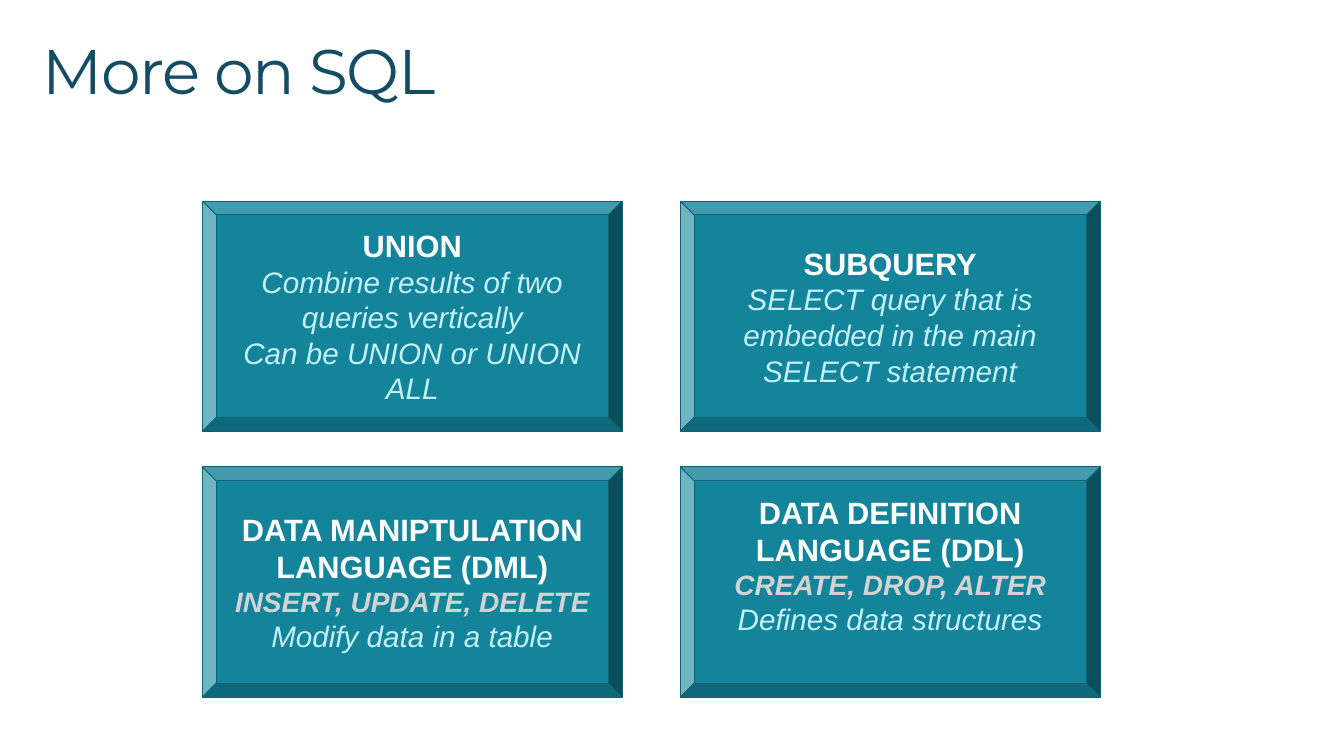
from dataclasses import dataclass

from pptx import Presentation
from pptx.dml.color import RGBColor
from pptx.enum.shapes import MSO_SHAPE
from pptx.enum.text import MSO_ANCHOR, MSO_AUTO_SIZE, PP_ALIGN
from pptx.util import Cm, Pt

BEVEL = MSO_SHAPE.BEVEL
TOP = MSO_ANCHOR.TOP
MIDDLE = MSO_ANCHOR.MIDDLE
NO_AUTOFIT = MSO_AUTO_SIZE.NONE
LEFT = PP_ALIGN.LEFT
CENTER = PP_ALIGN.CENTER


@dataclass(frozen=True)
class TextStyle:
    font: str
    size: float
    color: str
    bold: bool = False
    italic: bool = False


@dataclass(frozen=True)
class Theme:
    background: str = "FFFFFF"
    card_fill: str = "13849A"
    card_line: str = "0E6272"
    title: TextStyle = TextStyle("Montserrat", 54, "144D63")
    heading: TextStyle = TextStyle("Arial", 26.4, "FFFFFF", bold=True)
    keywords: TextStyle = TextStyle("Arial", 24, "D3D3D3", bold=True, italic=True)
    detail: TextStyle = TextStyle("Arial", 25.4, "C3EFF8", italic=True)


THEME = Theme()

CARD_LEFT, CARD_TOP = 6.12, 6.08
CARD_WIDTH, CARD_HEIGHT = 12.7, 6.96
COLUMN_PITCH, ROW_PITCH = 14.45, 8.04
BOTTOM_INSET, RAISED_BOTTOM_INSET = 0.13, 1.16

CARDS = [
    (
        [
            ("UNION", THEME.heading),
            ("Combine results of two queries vertically", THEME.detail),
            ("Can be UNION or UNION ALL", THEME.detail),
        ],
        BOTTOM_INSET,
    ),
    (
        [
            ("SUBQUERY", THEME.heading),
            ("SELECT query that is embedded in the main SELECT statement", THEME.detail),
        ],
        BOTTOM_INSET,
    ),
    (
        [
            ("DATA MANIPTULATION LANGUAGE (DML)", THEME.heading),
            ("INSERT, UPDATE, DELETE", THEME.keywords),
            ("Modify data in a table", THEME.detail),
        ],
        BOTTOM_INSET,
    ),
    (
        [
            ("DATA DEFINITION LANGUAGE (DDL)", THEME.heading),
            ("CREATE, DROP, ALTER", THEME.keywords),
            ("Defines data structures", THEME.detail),
        ],
        RAISED_BOTTOM_INSET,
    ),
]


def color(value):
    return RGBColor.from_string(value)


def add_run(paragraph, text, style):
    run = paragraph.add_run()
    run.text = text
    run.font.name = style.font
    run.font.size = Pt(style.size)
    run.font.bold = style.bold
    run.font.italic = style.italic
    run.font.color.rgb = color(style.color)
    return run


def set_insets(frame, left, top, right, bottom):
    frame.margin_left, frame.margin_top = Cm(left), Cm(top)
    frame.margin_right, frame.margin_bottom = Cm(right), Cm(bottom)


def set_title(slide, text):
    title = slide.shapes.title
    title.left, title.top = Cm(0.89), Cm(0.97)
    title.width, title.height = Cm(38.86), Cm(3)
    frame = title.text_frame
    frame.auto_size = NO_AUTOFIT
    frame.word_wrap = True
    frame.vertical_anchor = TOP
    set_insets(frame, 0.41, 0.25, 0.41, 0.25)
    paragraph = frame.paragraphs[0]
    paragraph.alignment = LEFT
    paragraph.line_spacing = 0.9
    paragraph.space_before = Pt(0)
    run = add_run(paragraph, text, THEME.title)
    run._r.get_or_add_rPr().set("spc", "-120")


def add_card(slide, left, top, lines, bottom_inset):
    card = slide.shapes.add_shape(
        BEVEL, Cm(left), Cm(top), Cm(CARD_WIDTH), Cm(CARD_HEIGHT)
    )
    card.adjustments[0] = 0.06
    card.shadow.inherit = False
    card.fill.solid()
    card.fill.fore_color.rgb = color(THEME.card_fill)
    card.line.color.rgb = color(THEME.card_line)
    card.line.width = Pt(0.85)
    frame = card.text_frame
    frame.word_wrap = True
    frame.vertical_anchor = MIDDLE
    set_insets(frame, 0.25, 0.13, 0.25, bottom_inset)
    for index, (text, style) in enumerate(lines):
        paragraph = frame.add_paragraph() if index else frame.paragraphs[0]
        paragraph.alignment = CENTER
        add_run(paragraph, text, style)


def main():
    presentation = Presentation()
    presentation.slide_width = Cm(40.64)
    presentation.slide_height = Cm(22.86)
    slide = presentation.slides.add_slide(presentation.slide_layouts[5])
    slide.background.fill.solid()
    slide.background.fill.fore_color.rgb = color(THEME.background)
    set_title(slide, "More on SQL")
    for index, (lines, bottom_inset) in enumerate(CARDS):
        row, column = divmod(index, 2)
        left = CARD_LEFT + column * COLUMN_PITCH
        top = CARD_TOP + row * ROW_PITCH
        add_card(slide, left, top, lines, bottom_inset)
    presentation.save("out.pptx")


if __name__ == "__main__":
    main()
